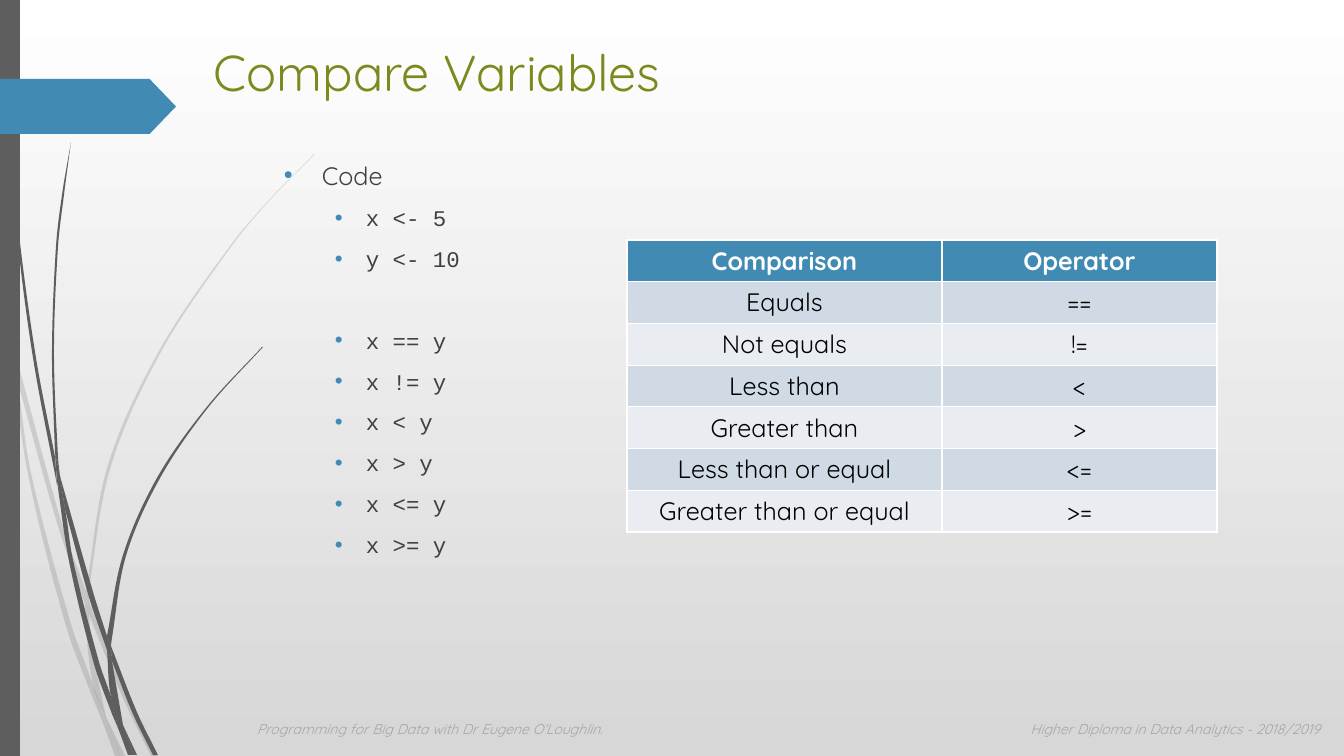
from math import dist

from lxml import etree
from pptx import Presentation
from pptx.dml.color import RGBColor
from pptx.enum.shapes import MSO_SHAPE
from pptx.enum.text import MSO_ANCHOR, PP_ALIGN
from pptx.oxml.ns import qn
from pptx.util import Pt

PIXEL = 914400 / 100.8
WIDTH, HEIGHT = 1344, 756
RECTANGLE, PENTAGON = MSO_SHAPE.RECTANGLE, MSO_SHAPE.PENTAGON
LEFT, CENTER, RIGHT = PP_ALIGN.LEFT, PP_ALIGN.CENTER, PP_ALIGN.RIGHT
TOP = MSO_ANCHOR.TOP

WHITE = RGBColor(0xFF, 0xFF, 0xFF)
BLACK = RGBColor(0x00, 0x00, 0x00)
SILVER = RGBColor(0xD7, 0xD7, 0xD7)
GRAPHITE = RGBColor(0x5E, 0x5E, 0x5E)
BLUE = RGBColor(0x41, 0x8A, 0xB3)
OLIVE = RGBColor(0x7D, 0x89, 0x1D)
BODY_GREY = RGBColor(0x40, 0x40, 0x40)
FOOTER_GREY = RGBColor(0xA6, 0xA6, 0xA6)
BAND_DARK = RGBColor(0xCF, 0xDA, 0xE5)
BAND_LIGHT = RGBColor(0xE9, 0xED, 0xF2)

TITLE = {"name": "Quicksand", "size": Pt(36), "color": OLIVE}
TOPIC = {"name": "Quicksand", "size": Pt(18), "color": BODY_GREY}
CODE = {"name": "Courier New", "size": Pt(16), "color": BODY_GREY}
FOOTER = {"name": "Quicksand", "size": Pt(10), "color": FOOTER_GREY, "italic": True}
HEADER = {"name": "Quicksand", "size": Pt(18), "color": WHITE, "bold": True}
CELL = {"name": "Quicksand", "size": Pt(18), "color": BLACK, "bold": False}

ASSIGNMENTS = ["x <- 5", "y <- 10"]
OPERATORS = [("Equals", "=="), ("Not equals", "!="), ("Less than", "<"),
             ("Greater than", ">"), ("Less than or equal", "<="),
             ("Greater than or equal", ">=")]

LIGHT_BLADES = [
    ([(11, 353), (9, 325), (0, 284)], [(0, 301), (10, 347)]),
    ([(17, 379), (58, 526), (85, 604)], [(86, 591), (62, 524), (14, 348)]),
    ([(89, 601), (93, 612), (128, 698), (156, 756)], [(151, 756), (124, 700), (89, 615)]),
    ([(106, 717), (125, 756)], [(120, 756)]),
    ([(11, 353), (17, 379), (31, 473), (71, 624), (94, 688), (102, 720)],
     [(93, 699), (66, 626), (28, 474), (11, 353)]),
    ([(85, 604), (88, 651), (94, 688), (106, 717)], [(92, 651), (89, 615)]),
    ([(86, 591), (108, 465), (159, 351), (230, 246), (270, 199), (314, 154)],
     [(314, 155), (270, 200), (231, 247), (161, 352), (111, 466), (89, 589), (89, 601)]),
    ([(102, 720), (115, 756)], [(120, 756)]),
    ([(86, 591), (89, 601), (89, 615)], [(85, 604)]),
    ([(94, 688), (106, 717), (120, 756)], [(102, 720)]),
]
DARK_BLADES = [
    ([(3, 0), (7, 111), (17, 235), (33, 358), (57, 485)],
     [(55, 457), (36, 358), (19, 234), (8, 110), (4, 0)]),
    ([(60, 476), (94, 595), (107, 636)], [(107, 650), (89, 597), (65, 509)]),
    ([(111, 646), (137, 712), (158, 755)], [(153, 755), (133, 714), (112, 661)]),
    ([(57, 481), (65, 509), (73, 560), (99, 662), (111, 697), (118, 728)],
     [(112, 714), (94, 664), (69, 561), (57, 481)]),
    ([(71, 142), (64, 195), (58, 247), (54, 352), (58, 457), (60, 476)],
     [(55, 453), (52, 352), (56, 247), (62, 195), (71, 142)]),
    ([(123, 725), (137, 755)], [(134, 755)]),
    ([(55, 453), (60, 476), (65, 509)], [(57, 481)]),
    ([(107, 636), (123, 555), (157, 478), (206, 408), (262, 347)],
     [(263, 347), (207, 409), (159, 480), (126, 556), (112, 638), (111, 646)]),
    ([(118, 728), (128, 755)], [(132, 755)]),
    ([(107, 650), (111, 697), (123, 725)], [(112, 661)]),
    ([(107, 636), (111, 646), (112, 661)], [(107, 650)]),
    ([(111, 697), (123, 725), (134, 755)], [(131, 755), (118, 728)]),
]


def emu(*lengths):
    return [round(length * PIXEL) for length in lengths]


def add_element(parent, tag, **attributes):
    element = etree.SubElement(parent, qn(tag))
    for name, value in attributes.items():
        element.set(name, str(value))
    return element


def write(paragraph, text, style, align=LEFT):
    paragraph.alignment = align
    run = paragraph.add_run()
    run.text = text
    for name, value in style.items():
        if name == "color":
            run.font.color.rgb = value
        else:
            setattr(run.font, name, value)


def paint(shape, color):
    shape.shadow.inherit = False
    shape.fill.solid()
    shape.fill.fore_color.rgb = color
    shape.line.fill.background()


def add_text_frame(slide, box):
    frame = slide.shapes.add_textbox(*emu(*box)).text_frame
    frame.word_wrap = True
    frame.vertical_anchor = TOP
    return frame


def add_text(slide, box, text, style, align=LEFT):
    write(add_text_frame(slide, box).paragraphs[0], text, style, align)


def control(before, knot, after, reach):
    share = reach / (3 * (dist(before, knot) + dist(knot, after)))
    return tuple(k + (a - b) * share for b, k, a in zip(before, knot, after))


def smooth(knots):
    padded = [knots[0], *knots, knots[-1]]
    curve = [knots[0]] * 3
    for before, start, end, after in zip(padded, padded[1:], padded[2:], padded[3:]):
        reach = dist(start, end)
        curve += [control(before, start, end, reach), control(start, end, after, -reach), end]
    return curve


def add_blade(slide, origin, edges, opacity):
    points = [point for edge in edges for point in smooth(edge)]
    outline = [emu(origin[0] + x, origin[1] + y) for x, y in points]
    builder = slide.shapes.build_freeform(*outline[0], scale=1.0)
    builder.add_line_segments(outline[3:], close=True)
    blade = builder.convert_to_shape()
    paint(blade, GRAPHITE)
    lines = [line for line in blade._element.iter(qn("a:lnTo"))]
    for triple in zip(lines[::3], lines[1::3], lines[2::3]):
        curve = etree.Element(qn("a:cubicBezTo"))
        triple[0].addprevious(curve)
        for line in triple:
            curve.append(line[0])
            line.getparent().remove(line)
    if opacity < 100:
        color = blade.fill._xPr.find(qn("a:solidFill"))[0]
        add_element(color, "a:alpha", val=opacity * 1000)


def add_side_decoration(slide, box):
    left, top, width, height = box
    for blades, opacity in ((LIGHT_BLADES, 20), (DARK_BLADES, 100)):
        for edges in blades:
            add_blade(slide, (left, top), edges, opacity)
    paint(slide.shapes.add_shape(RECTANGLE, *emu(left, top, 20, height)), GRAPHITE)
    pointer = slide.shapes.add_shape(PENTAGON, *emu(left, top + 79, width, 55))
    pointer.adjustments[0] = 0.48
    paint(pointer, BLUE)


def add_bullet(paragraph, text, style, margin, indent, before):
    write(paragraph, text, style)
    paragraph.space_before = Pt(before)
    properties = paragraph._p.get_or_add_pPr()
    for name, value in zip(("marL", "indent"), emu(margin, indent)):
        properties.set(name, str(value))
    add_element(add_element(properties, "a:buClr"), "a:srgbClr", val=BLUE)
    add_element(properties, "a:buFont", typeface="Arial")
    add_element(properties, "a:buChar", char="•")


def add_code_list(slide, box):
    frame = add_text_frame(slide, box)
    add_bullet(frame.paragraphs[0], "Code", TOPIC, 38, -38, 0)
    comparisons = [f"x {operator} y" for _, operator in OPERATORS]
    for line in ASSIGNMENTS + comparisons:
        paragraph = frame.add_paragraph()
        paragraph.level = 1
        before = 39.2 if line == comparisons[0] else 10
        add_bullet(paragraph, line, CODE, 82, -31, before)


def add_operator_table(slide, box):
    rows = [("Comparison", "Operator"), *OPERATORS]
    table = slide.shapes.add_table(len(rows), 2, *emu(*box)).table
    for column, width in zip(table.columns, emu(315, box[2] - 315)):
        column.width = width
    for r, row in enumerate(rows):
        fill = BLUE if r == 0 else (BAND_LIGHT, BAND_DARK)[r % 2]
        for c, text in enumerate(row):
            cell = table.cell(r, c)
            cell.fill.solid()
            cell.fill.fore_color.rgb = fill
            write(cell.text_frame.paragraphs[0], text, CELL if r else HEADER, CENTER)


def set_background(slide):
    fill = slide.background.fill
    fill.gradient()
    fill.gradient_angle = 270
    for stop, color in zip(fill.gradient_stops, (WHITE, SILVER)):
        stop.color.rgb = color


presentation = Presentation()
presentation.slide_width, presentation.slide_height = emu(WIDTH, HEIGHT)
slide = presentation.slides.add_slide(presentation.slide_layouts[6])
set_background(slide)
add_side_decoration(slide, (0, 0, 176, HEIGHT))
add_text(slide, (247, 716, 876, 27), "Programming for Big Data with Dr Eugene O’Loughlin.", FOOTER)
add_text(slide, (965, 716, 365, 27), "Higher Diploma in Data Analytics - 2018/2019", FOOTER, RIGHT)
add_text(slide, (204, 36, 1089, 99), "Compare Variables", TITLE)
add_code_list(slide, (274, 155, 1019, 542))
add_operator_table(slide, (627, 240, 590, 292))
presentation.save("out.pptx")
